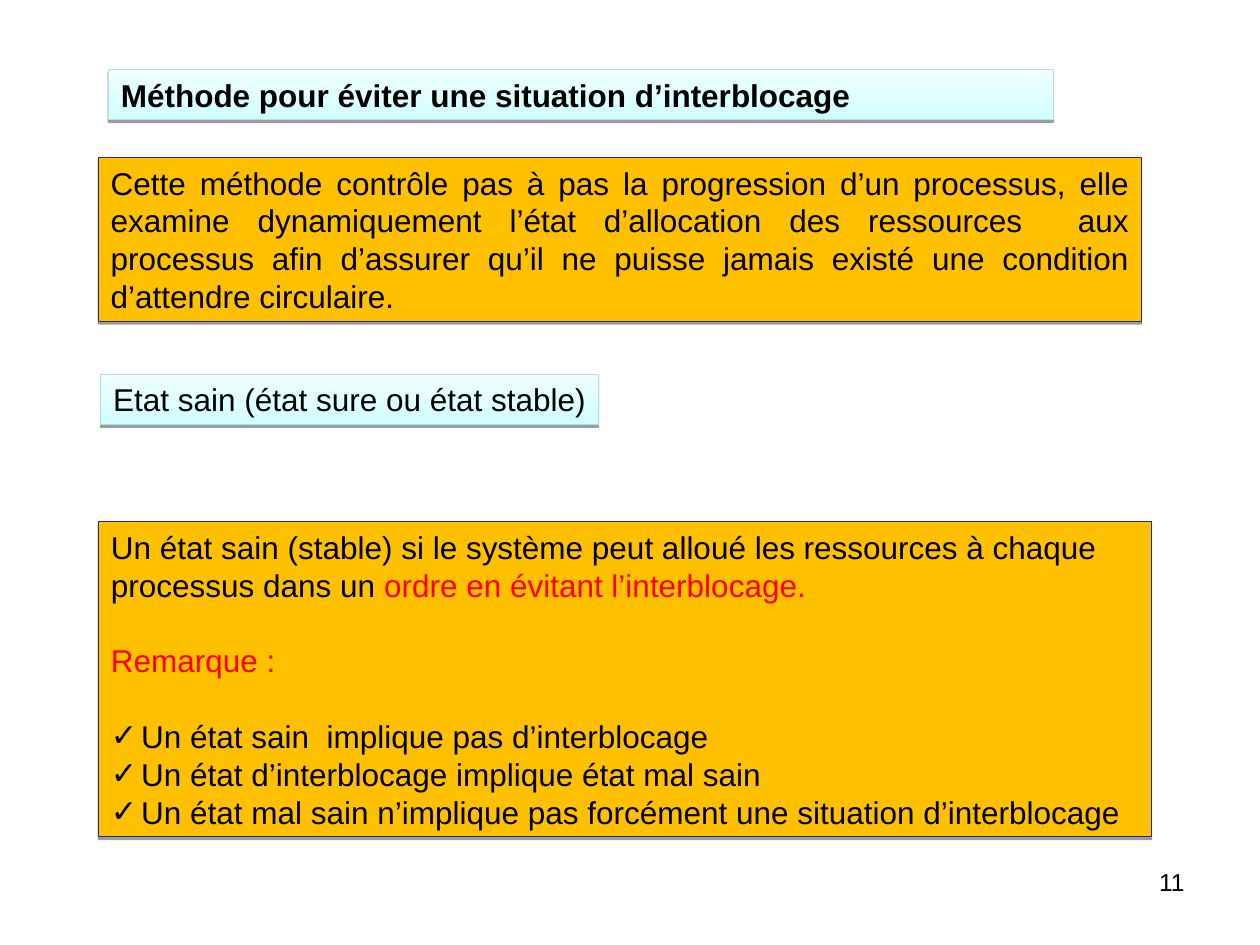
"""Build the slide on avoiding deadlock."""
from dataclasses import dataclass
from typing import Optional

from lxml import etree
from pptx import Presentation
from pptx import util as u
from pptx.dml.color import RGBColor
from pptx.enum import shapes, text
from pptx.oxml.ns import qn

BLACK = RGBColor(0, 0, 0)
RED = RGBColor(0xFF, 0, 0)
AMBER = RGBColor(0xFF, 0xC0, 0)
NAVY = RGBColor(0x29, 0x29, 0x89)
CYAN = RGBColor(0xCF, 0xFF, 0xFF)
PALE_CYAN = RGBColor(0xF0, 0xFF, 0xFF)
TEAL = RGBColor(0xB6, 0xDC, 0xDF)

COLS, ROWS = 1000, 750
WIDTH, HEIGHT = u.Inches(10), u.Inches(7.5)
LEADING = 1.2
LINE = u.Pt(18 * LEADING)
HANG = u.Inches(0.24)


@dataclass(frozen=True)
class Box:
    """A rectangle in grid columns and rows."""
    col: int
    row: int
    cols: int
    rows: int


@dataclass(frozen=True)
class Look:
    """The fill colours, from bottom to top, and the outline of a panel."""
    fills: tuple[RGBColor, ...]
    line: RGBColor


HEADING = Look((CYAN, PALE_CYAN), TEAL)
PANEL = Look((AMBER,), NAVY)


def place(sp, box: Box) -> None:
    """Move a shape to its grid box."""
    sp.left, sp.width = (int(WIDTH * n / COLS) for n in (box.col, box.cols))
    sp.top, sp.height = (int(HEIGHT * n / ROWS) for n in (box.row, box.rows))


def style(sp, look: Look) -> None:
    """Fill and outline a panel and give it a short shadow below."""
    if len(look.fills) > 1:
        sp.fill.gradient()
        sp.fill.gradient_angle = 90
        for stop, colour in zip(sp.fill.gradient_stops, look.fills):
            stop.color.rgb = colour
    else:
        sp.fill.solid()
        sp.fill.fore_color.rgb = look.fills[0]
    sp.line.color.rgb = look.line
    sp.line.width = u.Pt(0.75)
    effects = sp._element.spPr.find(qn("a:effectLst"))
    if effects is None:
        effects = etree.SubElement(sp._element.spPr, qn("a:effectLst"))
    shadow = etree.SubElement(effects, qn("a:outerShdw"), blurRad="0",
                              dist=str(u.Pt(1.6)), dir="5400000", rotWithShape="0")
    colour = etree.SubElement(shadow, qn("a:srgbClr"), val="000000")
    etree.SubElement(colour, qn("a:alpha"), val="38000")


def write(sp, *runs: tuple[str, RGBColor], size: float = 18, bold: bool = False,
          align=text.PP_ALIGN.LEFT, before: u.Length = u.Pt(0),
          bullet: Optional[str] = None, wrap: bool = True, more: bool = False) -> None:
    """Write one paragraph of coloured runs, after the others if more is set."""
    tf = sp.text_frame
    tf.word_wrap = wrap
    tf.auto_size = text.MSO_AUTO_SIZE.NONE
    tf.vertical_anchor = text.MSO_ANCHOR.TOP
    tf.margin_left = tf.margin_right = u.Inches(0.1)
    tf.margin_top = tf.margin_bottom = u.Inches(0.05)
    p = tf.add_paragraph() if more else tf.paragraphs[0]
    p.alignment = align
    p.line_spacing = u.Pt(size * LEADING)
    p.space_before, p.space_after = before, u.Pt(0)
    pPr = p._p.get_or_add_pPr()
    hang = HANG if bullet else 0
    pPr.set("marL", str(int(hang)))
    pPr.set("indent", str(int(-hang)))
    if bullet:
        colour = etree.SubElement(pPr, qn("a:buClr"))
        etree.SubElement(colour, qn("a:srgbClr"), val="000000")
        etree.SubElement(pPr, qn("a:buFont"), typeface="Arial")
        etree.SubElement(pPr, qn("a:buChar"), char=bullet)
    else:
        etree.SubElement(pPr, qn("a:buNone"))
    for words, ink in runs:
        r = p.add_run()
        r.text = words
        r.font.name, r.font.size, r.font.bold = "Arial", u.Pt(size), bold
        r.font.color.rgb = ink


def add_panel(s, box: Box, look: Look):
    """Add a styled rectangle."""
    sp = s.shapes.add_shape(shapes.MSO_SHAPE.RECTANGLE, 0, 0, 0, 0)
    sp.shadow.inherit = False
    place(sp, box)
    style(sp, look)
    return sp


def main() -> None:
    """Build and save the slide."""
    prs = Presentation()
    prs.slide_width, prs.slide_height = WIDTH, HEIGHT
    s = prs.slides.add_slide(prs.slide_layouts[1])

    title, body = s.shapes.title, s.placeholders[1]
    place(title, Box(86, 55, 750, 40))
    style(title, HEADING)
    write(title, ("Méthode pour éviter une situation d’interblocage", BLACK), bold=True)

    method = add_panel(s, Box(78, 125, 828, 130), PANEL)
    write(method, ("Cette méthode contrôle pas à pas la progression d’un processus, elle "
                   "examine dynamiquement l’état d’allocation des ressources  aux "
                   "processus afin d’assurer qu’il ne puisse jamais existé une condition "
                   "d’attendre circulaire.", BLACK), align=text.PP_ALIGN.JUSTIFY)

    safe = add_panel(s, Box(80, 297, 395, 40), HEADING)
    write(safe, ("Etat sain (état sure ou état stable)", BLACK), wrap=False)

    place(body, Box(78, 414, 836, 250))
    style(body, PANEL)
    write(body, ("Un état sain (stable) si le système peut alloué les ressources à chaque "
                 "processus dans un ", BLACK), ("ordre en évitant l’interblocage.", RED))
    write(body, ("Remarque :", RED), before=LINE, more=True)
    remarks = ("Un état sain  implique pas d’interblocage",
               "Un état d’interblocage implique état mal sain",
               "Un état mal sain n’implique pas forcément une situation d’interblocage")
    for i, remark in enumerate(remarks):
        write(body, (remark, BLACK), before=u.Pt(0) if i else LINE, bullet="✓", more=True)

    number = s.shapes.add_textbox(0, 0, 0, 0)
    place(number, Box(717, 683, 233, 52))
    write(number, ("11", BLACK), size=14, align=text.PP_ALIGN.RIGHT)

    prs.save("out.pptx")


if __name__ == "__main__":
    main()
